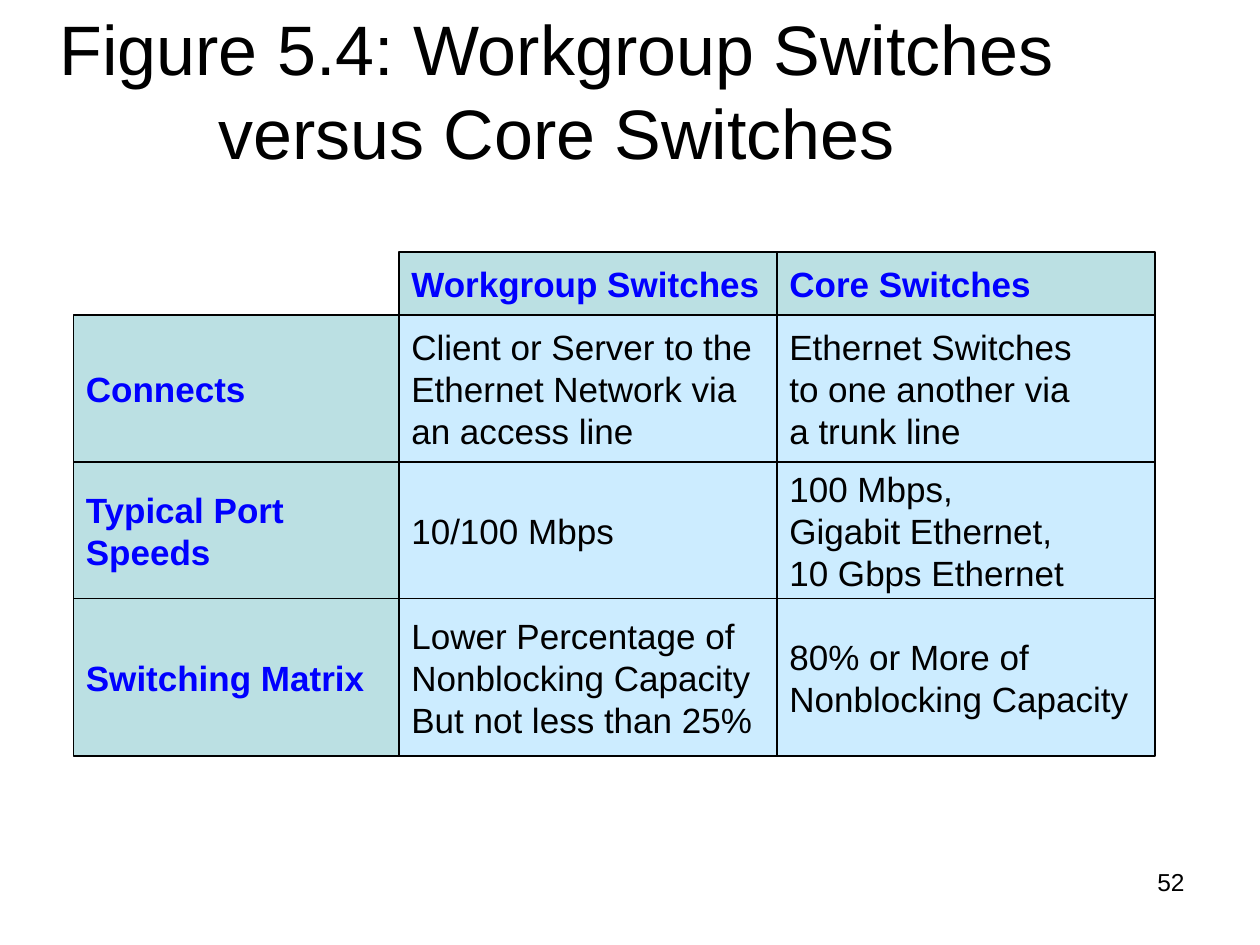
import pptx
import pptx.dml.color
import pptx.enum.shapes
import pptx.enum.text
import pptx.util

PX = 9525  # EMU per px, 96 px to the inch
FONT = "Arial"
COLORS = {"text": "000000", "heading": "0000FF", "head_fill": "BBE0E3",
          "body_fill": "CCECFF", "border": "000000"}
ALIGN = pptx.enum.text.PP_ALIGN
ANCHOR = pptx.enum.text.MSO_ANCHOR

COL_WIDTHS = [248, 288, 288]
ROW_HEIGHTS = [48, 112, 104, 120]
ROWS = [
    ["", "Workgroup Switches", "Core Switches"],
    ["Connects",
     "Client or Server to the\nEthernet Network via\nan access line",
     "Ethernet Switches\nto one another via\na trunk line"],
    ["Typical Port\nSpeeds", "10/100 Mbps",
     "100 Mbps,\nGigabit Ethernet,\n10 Gbps Ethernet"],
    ["Switching Matrix",
     "Lower Percentage of\nNonblocking Capacity\nBut not less than 25%",
     "80% or More of\nNonblocking Capacity"],
]


def px(*lengths):
    return [length * PX for length in lengths]


def rgb(name):
    return pptx.dml.color.RGBColor.from_string(COLORS[name])


def format_text(tf, size, color="text", bold=False, align=ALIGN.LEFT):
    for p in tf.paragraphs:
        p.alignment = align
        for r in p.runs:
            r.font.name = FONT
            r.font.size = pptx.util.Pt(size)
            r.font.bold = bold
            r.font.color.rgb = rgb(color)


def add_title(s, left, top, width, height):
    title = s.shapes.title
    title.left, title.top, title.width, title.height = px(left, top, width, height)
    tf = title.text_frame
    tf.text = "Figure 5.4: Workgroup Switches versus Core Switches"
    tf.word_wrap = True
    tf.auto_size = pptx.enum.text.MSO_AUTO_SIZE.NONE
    tf.vertical_anchor = ANCHOR.MIDDLE
    format_text(tf, 40, align=ALIGN.CENTER)


def add_cell(s, text, is_head, left, top, width, height):
    sp = s.shapes.add_shape(pptx.enum.shapes.MSO_SHAPE.RECTANGLE,
                            *px(left, top, width, height))
    sp.shadow.inherit = False
    sp.fill.solid()
    sp.fill.fore_color.rgb = rgb("head_fill" if is_head else "body_fill")
    sp.line.color.rgb = rgb("border")
    sp.line.width = pptx.util.Pt(0.75)
    tf = sp.text_frame
    tf.text = text
    tf.word_wrap = False
    tf.vertical_anchor = ANCHOR.MIDDLE
    format_text(tf, 20, "heading" if is_head else "text", is_head)


def add_comparison(s, left, top):
    """Lay out the boxes column by column; the corner stays empty."""
    for j, width in enumerate(COL_WIDTHS):
        x = left + sum(COL_WIDTHS[:j])
        for i, height in enumerate(ROW_HEIGHTS):
            y = top + sum(ROW_HEIGHTS[:i])
            if ROWS[i][j]:
                add_cell(s, ROWS[i][j], i == 0 or j == 0, x, y, width, height)


def add_page_number(s, left, top, width, height):
    tf = s.shapes.add_textbox(*px(left, top, width, height)).text_frame
    tf.word_wrap = True
    tf.text = "52"
    format_text(tf, 14, align=ALIGN.RIGHT)


def main():
    prs = pptx.Presentation()
    prs.slide_width, prs.slide_height = px(960, 720)
    s = prs.slides.add_slide(prs.slide_layouts[5])  # Title Only
    add_title(s, 16, 8, 816, 120)
    add_comparison(s, 56, 192)
    add_page_number(s, 688, 656, 224, 50)
    prs.save("out.pptx")


if __name__ == "__main__":
    main()
